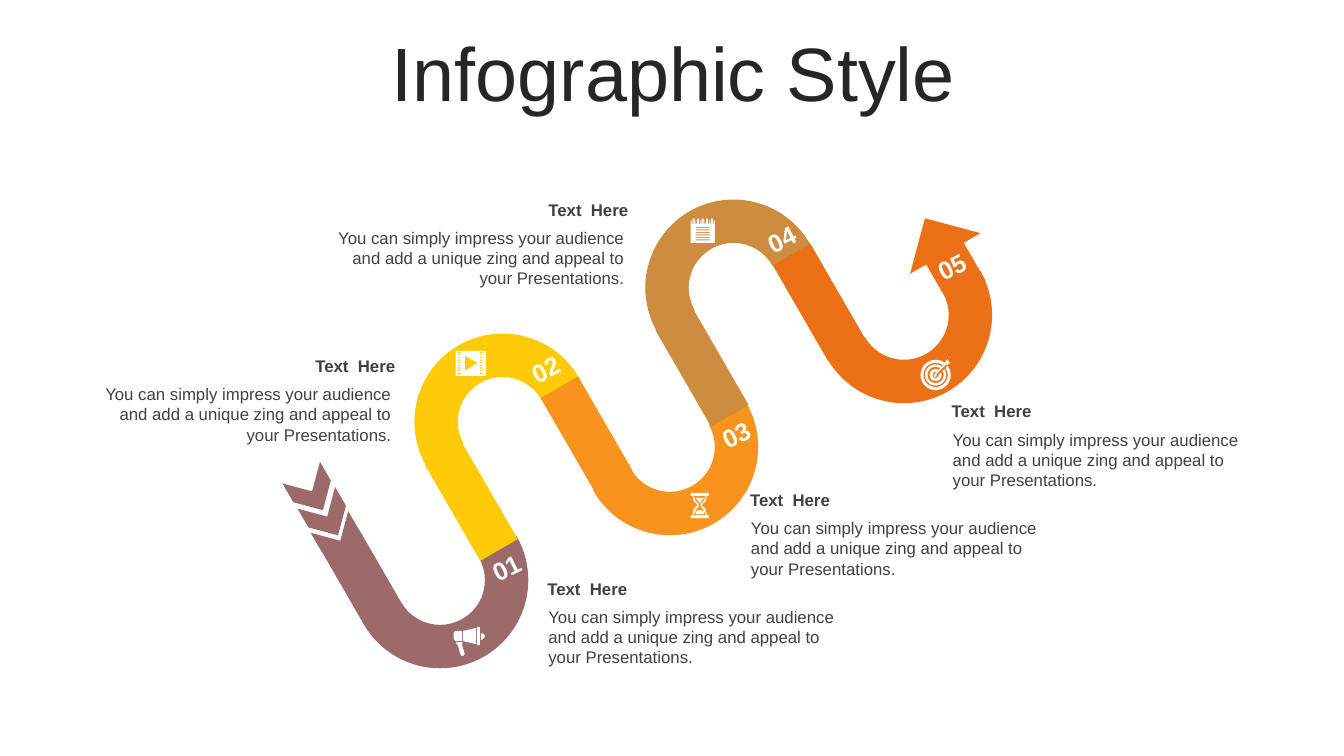
import math
import pptx
import pptx.util
import pptx.dml.color
import pptx.enum.shapes
import pptx.enum.text

Inches = pptx.util.Inches
KIND = pptx.enum.shapes.MSO_SHAPE
ALIGN = pptx.enum.text.PP_ALIGN
COLORS = {
    "title": "262626", "text": "404040", "white": "FFFFFF",
    "mauve": "9C6A6A", "yellow": "FFCA08", "amber": "F8931D",
    "tan": "CE8D3E", "orange": "EC7016",
}
BODY = ("You can simply impress your audience and add a unique zing "
        "and appeal to your Presentations.")
TURN, WIDE = 1.75, 0.43  # bend diameter and road width

# left, top, colour, upper bend, strip (dx, dy, height), number (dx, dy)
UPPER = (0.35, 1.12, 1.1)
BENDS = [
    (3.49, 4.88, "mauve", False, (-0.12, 0.43, 0.83), (1.26, 0.55)),
    (4.11, 3.31, "yellow", True, UPPER, (1.03, 0.15)),
    (5.77, 3.56, "amber", False, (-0.17, 0.21, 1.07), (1.26, 0.55)),
    (6.4, 1.98, "tan", True, UPPER, (1.08, 0.19)),
    (8.09, 2.25, "orange", False, (-0.18, 0.2, 1.1), (1.08, 0.19)),
]
# left, top, width, alignment
NOTES = [
    (5.33, 5.69, 3.22, ALIGN.LEFT),
    (0.76, 3.48, 3.26, ALIGN.RIGHT),
    (7.34, 4.81, 3.22, ALIGN.LEFT),
    (3.04, 1.93, 3.29, ALIGN.RIGHT),
    (9.34, 3.93, 3.1, ALIGN.LEFT),
]


def rgb(name):
    return pptx.dml.color.RGBColor.from_string(COLORS[name])


def paint(shape, color):
    shape.shadow.inherit = False
    shape.fill.solid()
    shape.fill.fore_color.rgb = rgb(color)
    shape.line.fill.background()


def block(slide, kind, x, y, w, h, turn, color):
    shape = slide.shapes.add_shape(kind, Inches(x), Inches(y), Inches(w), Inches(h))
    shape.rotation = turn
    paint(shape, color)
    return shape


def label(slide, x, y, w, h, words, size, color, align, bold=False, wrap=True):
    box = slide.shapes.add_textbox(Inches(x), Inches(y), Inches(w), Inches(h))
    box.text_frame.word_wrap = wrap
    para = box.text_frame.paragraphs[0]
    para.text = words
    para.alignment = align
    para.font.name = "Arial"
    para.font.size = pptx.util.Pt(size)
    para.font.bold = bold
    para.font.color.rgb = rgb(color)
    return box


def title(slide, x, y, w, h):
    box = label(slide, x, y, w, h, "Infographic Style", 54, "title", ALIGN.CENTER)
    box.text_frame.vertical_anchor = pptx.enum.text.MSO_ANCHOR.MIDDLE
    box.text_frame.paragraphs[0].line_spacing = 0.9


def bend(slide, x, y, color, upper, strip):
    turn = 330 if upper else 150
    dx, dy, high = strip
    block(slide, KIND.RECTANGLE, x + dx, y + dy, WIDE, high, turn, color)
    arc = block(slide, KIND.BLOCK_ARC, x, y, TURN, TURN, turn, color)
    for i, value in enumerate((108, 0.493, 0.246)):
        arc.adjustments[i] = value


def tail(slide, x, y):
    for dx, dy in ((-0.46, 0.03), (-0.61, -0.22), (-0.33, 0.27)):
        block(slide, KIND.CHEVRON, x + dx, y + dy, WIDE, WIDE, 60, "mauve")


def head(slide, x, y):
    block(slide, KIND.RECTANGLE, x + 1.17, y + 0.23, WIDE, WIDE, 150, "orange")
    block(slide, KIND.RIGHT_TRIANGLE, x + 1, y - 0.02, 0.57, 0.57, 105, "orange")


def note(slide, x, y, w, align):
    label(slide, x + 0.01, y + 0.28, w - 0.05, 0.71, BODY, 12, "text", align)
    label(slide, x, y, w, 0.3, "Text  Here", 12, "text", align, bold=True)


def icon(slide, x, y, loops):
    """Draw closed outlines as one white shape; nested outlines cut holes."""
    loops = [[(Inches(x + px), Inches(y + py)) for px, py in loop] for loop in loops]
    pen = slide.shapes.build_freeform(*loops[0][0])
    for i, loop in enumerate(loops):
        if i:
            pen.move_to(*loop[0])
        pen.add_line_segments(loop[1:], close=True)
    paint(pen.convert_to_shape(), "white")


def rect(x, y, w, h):
    return [(x, y), (x + w, y), (x + w, y + h), (x, y + h)]


def ring(cx, cy, outer, inner):
    """Ring with a gap at its upper right."""
    def arc(r):
        gap = math.asin(0.02 / r)
        span = 2 * (math.pi - gap)
        turns = [gap - math.pi / 4 + span * i / 40 for i in range(41)]
        return [(cx + r * math.cos(t), cy + r * math.sin(t)) for t in turns]
    return arc(outer) + arc(inner)[::-1]


def horn(slide, x, y):
    icon(slide, x, y, [
        [(0.02, 0.04), (0.08, 0.04), (0.08, 0.14), (0.02, 0.14), (0, 0.12), (0, 0.05)],
        [(0.09, 0.04), (0.22, 0.01), (0.22, 0.17), (0.09, 0.14)],
        rect(0.23, 0, 0.03, 0.18),
        [(0.27, 0.06), (0.3, 0.07), (0.31, 0.09), (0.3, 0.11), (0.27, 0.13)],
        [(0.02, 0.15), (0.08, 0.15), (0.09, 0.16), (0.08, 0.17), (0.11, 0.27),
         (0.1, 0.28), (0.09, 0.29), (0.07, 0.28), (0.04, 0.18), (0.03, 0.17)],
    ])


def film(slide, x, y):
    holes = [rect(dx, 0.01 + 0.026 * i, 0.03, 0.01)
             for dx in (0.02, 0.24) for i in range(9)]
    icon(slide, x, y, [rect(0, 0, 0.3, 0.25),
                       [(0.09, 0.05), (0.09, 0.2), (0.22, 0.12)]] + holes)


def timer(slide, x, y):
    icon(slide, x, y, [
        rect(0, 0, 0.18, 0.03), rect(0, 0.22, 0.18, 0.03),
        [(0.02, 0.03), (0.16, 0.03), (0.15, 0.08), (0.11, 0.12), (0.15, 0.16),
         (0.16, 0.22), (0.02, 0.22), (0.03, 0.16), (0.07, 0.12), (0.03, 0.08)],
        [(0.03, 0.03), (0.15, 0.03), (0.13, 0.08), (0.1, 0.11), (0.1, 0.13),
         (0.13, 0.17), (0.15, 0.22), (0.03, 0.22), (0.05, 0.17), (0.08, 0.13),
         (0.08, 0.11), (0.05, 0.08)],
        [(0.05, 0.05), (0.13, 0.05), (0.09, 0.1)],
        [(0.05, 0.21), (0.05, 0.18), (0.09, 0.17), (0.13, 0.18), (0.13, 0.21)],
    ])


def pad(slide, x, y):
    loops = [rect(0, 0.02, 0.24, 0.22)]
    loops += [rect(0.05, 0.08 + 0.025 * i, 0.14, 0.01) for i in range(6)]
    for i in range(5):
        mid = 0.03 + 0.045 * i
        loops += [rect(mid - 0.02, 0.02, 0.04, 0.03), rect(mid - 0.01, 0, 0.02, 0.05)]
    icon(slide, x, y, loops)


def target(slide, x, y):
    loops = [ring(0.15, 0.16, r, r - w)
             for r, w in ((0.15, 0.03), (0.105, 0.025), (0.06, 0.03))]
    dart = [(0.13, 0.16), (0.15, 0.14), (0.24, 0.05), (0.24, 0.04), (0.27, 0),
            (0.28, 0.03), (0.3, 0.03), (0.27, 0.06), (0.25, 0.06), (0.16, 0.15),
            (0.16, 0.17), (0.15, 0.18), (0.14, 0.18)]
    icon(slide, x, y, loops + [dart])


def main():
    deck = pptx.Presentation()
    deck.slide_width, deck.slide_height = Inches(13.33), Inches(7.5)
    slide = deck.slides.add_slide(deck.slide_layouts[6])
    title(slide, 0.35, 0.37, 12.66, 0.79)
    for x, y, color, upper, strip, _ in BENDS:
        bend(slide, x, y, color, upper, strip)
    tail(slide, *BENDS[0][:2])
    head(slide, *BENDS[-1][:2])
    for place in NOTES:
        note(slide, *place)
    for i, (x, y, *_, (dx, dy)) in enumerate(BENDS, 1):
        box = label(slide, x + dx, y + dy, 0.54, 0.4, f"{i:02}", 18, "white",
                    ALIGN.CENTER, bold=True, wrap=False)
        box.rotation = 333.6
    horn(slide, 4.5, 6.22)
    film(slide, 4.52, 3.48)
    timer(slide, 6.85, 4.89)
    pad(slide, 6.85, 2.17)
    target(slide, 9.13, 3.56)
    deck.save("out.pptx")


if __name__ == "__main__":
    main()
